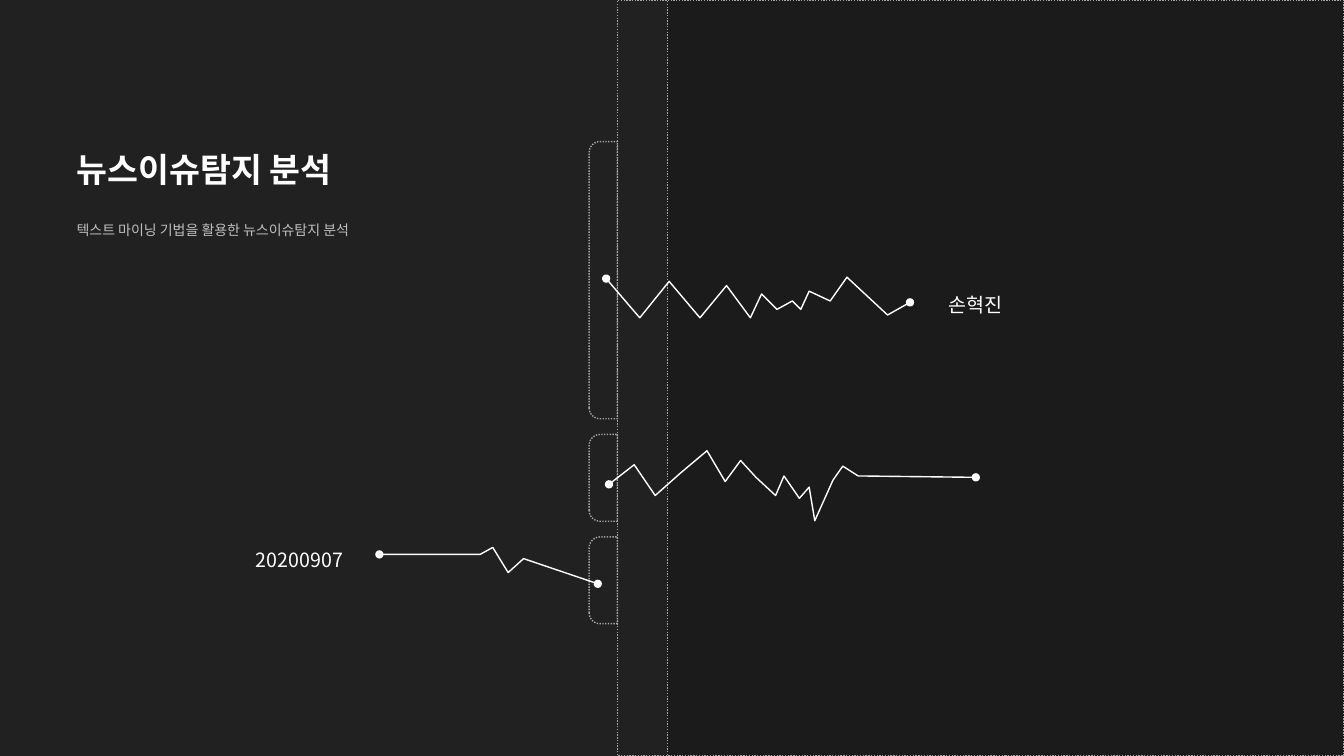
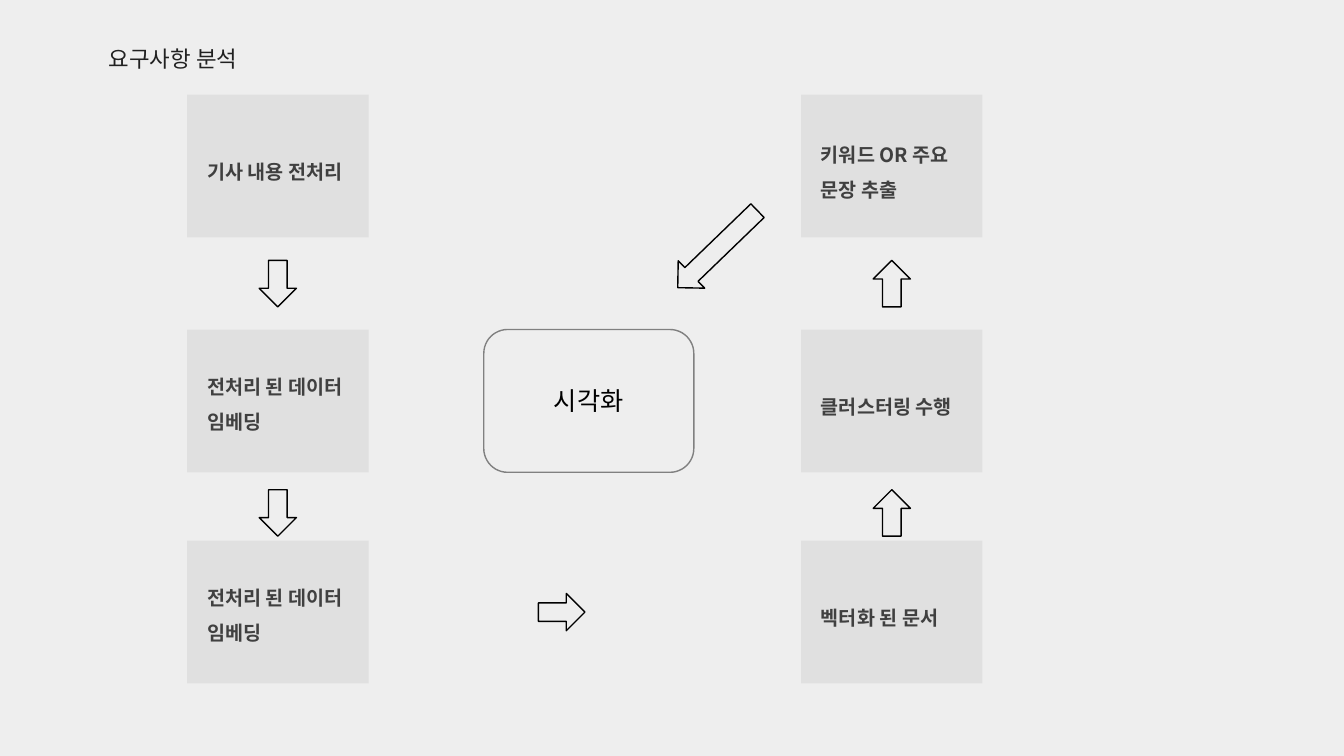
"""Build a dark cover slide and a light process slide for a news issue analysis."""
from lxml import etree
from pptx import Presentation
from pptx.dml.color import RGBColor
from pptx.enum.dml import MSO_LINE
from pptx.enum.shapes import MSO_SHAPE
from pptx.enum.text import MSO_ANCHOR, MSO_AUTO_SIZE, PP_ALIGN
from pptx.oxml.ns import qn
from pptx.util import Pt

RECTANGLE = MSO_SHAPE.RECTANGLE
ROUNDED = MSO_SHAPE.ROUNDED_RECTANGLE
TAB = MSO_SHAPE.ROUND_2_SAME_RECTANGLE
ARROW = MSO_SHAPE.DOWN_ARROW
DOTTED = MSO_LINE.ROUND_DOT
TOP, MIDDLE = MSO_ANCHOR.TOP, MSO_ANCHOR.MIDDLE
LEFT, CENTER = PP_ALIGN.LEFT, PP_ALIGN.CENTER
NO_AUTOFIT = MSO_AUTO_SIZE.NONE

FONT = "Noto Sans CJK KR"
DARK, PANEL, LIGHT, BOX = "212121", "1B1B1B", "EEEEEE", "E0E0E0"
WHITE, BLACK, DOTS, SILVER = "FFFFFF", "000000", "A6A6A6", "BFBFBF"
GRAY, TEXT_GRAY = "808080", "404040"
SLIDE_WIDTH, SLIDE_HEIGHT = 960, 540

COVER_TITLE = "뉴스이슈탐지 분석"
COVER_SUBTITLE = "텍스트 마이닝 기법을 활용한 뉴스이슈탐지 분석"
COVER_LABELS = [
    ("손혁진", (670.3, 197.3, 56.9, 29.5)),
    ("20200907", (175.7, 379.4, 77, 29.5)),
]
PANEL_LEFTS = (441.2, 476.8)
TAB_LEFT, TAB_TOP, TAB_WIDTH, TAB_GAP = 420.8, 101.1, 20.2, 11.2
TAB_HEIGHTS = (198, 62, 62)
ZIGZAGS = [
    [(432.7, 198.7), (457.2, 226.8), (478.1, 200.9), (499.7, 226.8),
     (519.1, 203.8), (535.7, 226.8), (544.3, 210.2), (555.1, 221),
     (565.9, 215.3), (571.7, 221), (578.2, 208.1), (593.3, 215.3),
     (604.8, 198), (634.3, 225), (650.2, 216)],
    [(434.9, 346.3), (452.9, 331.9), (468, 354.2), (486, 337.7),
     (504.7, 321.8), (517.7, 344.2), (529.2, 329), (540, 340.6),
     (553.7, 354.2), (560.2, 339.8), (571, 355.7), (578.2, 348.5),
     (582.5, 372.2), (594.7, 343.4), (601.9, 332.6), (612.7, 339.8),
     (697, 340.6)],
    [(271.4, 396), (343.4, 396), (352.1, 391), (362.9, 409),
     (373.7, 398.9), (427, 416.9)],
]

PROCESS_TITLE = "요구사항 분석"
RESULT = "시각화"
STEP_COLUMNS = [
    (133.7, 0, ["기사 내용 전처리", "전처리 된 데이터\n임베딩", "전처리 된 데이터\n임베딩"]),
    (572.2, 180, ["키워드 OR 주요 문장 추출", "클러스터링 수행", "벡터화 된 문서"]),
]
STEP_TOPS = (67.7, 235.4, 386.2)
STEP_WIDTH, STEP_HEIGHT = 129.6, 102
ARROW_TOPS = (186, 349.8)
ARROW_WIDTH, ARROW_HEIGHT = 26.6, 33.2
ACROSS_CENTER = 401.2
RESULT_LEFT, RESULT_WIDTH = 345.6, 150
DIAGONAL = (499, 138.4, 27.2, 79.2)


def color(value):
    return RGBColor.from_string(value)


def place(shape, frame):
    shape.left, shape.top, shape.width, shape.height = map(Pt, frame)


def write(shape, text, size, text_color, bold=False, align=LEFT, anchor=TOP,
          spacing=1.5, wrap=True):
    text_frame = shape.text_frame
    text_frame.text = text
    text_frame.word_wrap = wrap
    text_frame.auto_size = NO_AUTOFIT
    text_frame.vertical_anchor = anchor
    for paragraph in text_frame.paragraphs:
        paragraph.alignment = align
        paragraph.line_spacing = spacing
        paragraph.space_before = Pt(0)
        for run in paragraph.runs:
            run.font.name = FONT
            run.font.size = Pt(size)
            run.font.bold = bold
            run.font.color.rgb = color(text_color)
            properties = run._r.get_or_add_rPr()
            etree.SubElement(properties, qn("a:ea")).set("typeface", FONT)


def style(shape, fill=None, line=None, dash=None):
    shape.shadow.inherit = False
    if fill:
        shape.fill.solid()
        shape.fill.fore_color.rgb = color(fill)
    else:
        shape.fill.background()
    if line:
        shape.line.color.rgb = color(line)
        shape.line.width = Pt(1)
        if dash:
            shape.line.dash_style = dash
    else:
        shape.line.fill.background()


def add_shape(slide, kind, frame, fill=None, line=None, dash=None, rotation=0):
    shape = slide.shapes.add_shape(kind, *map(Pt, frame))
    style(shape, fill, line, dash)
    shape.rotation = rotation
    return shape


def add_arrow(slide, center, top, rotation):
    frame = (center - ARROW_WIDTH / 2, top, ARROW_WIDTH, ARROW_HEIGHT)
    add_shape(slide, ARROW, frame, LIGHT, BLACK, rotation=rotation)


def add_panel(slide, left, fill):
    frame = (left, 0, SLIDE_WIDTH - left, SLIDE_HEIGHT)
    add_shape(slide, RECTANGLE, frame, fill, DOTS, DOTTED)


def add_tab(slide, top, height):
    frame = (TAB_LEFT + (TAB_WIDTH - height) / 2,
             top + (height - TAB_WIDTH) / 2, height, TAB_WIDTH)
    tab = add_shape(slide, TAB, frame, line=DOTS, dash=DOTTED, rotation=270)
    tab.adjustments[0] = 0.385
    tab.adjustments[1] = 0


def add_zigzag(slide, points):
    builder = slide.shapes.build_freeform(*points[0], scale=Pt(1))
    builder.add_line_segments(points[1:], close=False)
    zigzag = builder.convert_to_shape()
    style(zigzag, line=WHITE)
    line = zigzag.line._get_or_add_ln()
    for end in ("a:headEnd", "a:tailEnd"):
        etree.SubElement(line, qn(end)).set("type", "oval")


def add_slide(presentation, layout, background, title, frame, size,
              title_color, bold=False):
    slide = presentation.slides.add_slide(presentation.slide_layouts[layout])
    slide.background.fill.solid()
    slide.background.fill.fore_color.rgb = color(background)
    place(slide.shapes.title, frame)
    write(slide.shapes.title, title, size, title_color, bold)
    return slide


def build_cover(presentation):
    slide = add_slide(presentation, 0, DARK, COVER_TITLE,
                      (47.5, 88.6, 309.6, 52), 24, WHITE, True)
    subtitle = slide.placeholders[1]
    place(subtitle, (47.5, 148.8, 309.6, 25))
    write(subtitle, COVER_SUBTITLE, 10, SILVER)
    add_panel(slide, PANEL_LEFTS[0], DARK)
    top = TAB_TOP
    for height in TAB_HEIGHTS:
        add_tab(slide, top, height)
        top += height + TAB_GAP
    add_panel(slide, PANEL_LEFTS[1], PANEL)
    for points in ZIGZAGS:
        add_zigzag(slide, points)
    for text, frame in COVER_LABELS:
        label = slide.shapes.add_textbox(*map(Pt, frame))
        write(label, text, 14, WHITE, wrap=False)


def build_process(presentation):
    slide = add_slide(presentation, 5, LIGHT, PROCESS_TITLE,
                      (70.6, 18.7, 380, 32.4), 16, DARK)
    for left, rotation, steps in STEP_COLUMNS:
        for top, text in zip(STEP_TOPS, steps):
            box = add_shape(slide, RECTANGLE,
                            (left, top, STEP_WIDTH, STEP_HEIGHT), BOX)
            box.text_frame.margin_left = Pt(14.2)
            box.text_frame.margin_bottom = Pt(7.2 if "\n" in text else 3.6)
            write(box, text, 14, TEXT_GRAY, True, anchor=MIDDLE)
        for top in ARROW_TOPS:
            add_arrow(slide, left + STEP_WIDTH / 2, top, rotation)
    across_top = STEP_TOPS[-1] + (STEP_HEIGHT - ARROW_HEIGHT) / 2
    add_arrow(slide, ACROSS_CENTER, across_top, 270)
    result = add_shape(slide, ROUNDED, (RESULT_LEFT, STEP_TOPS[1],
                       RESULT_WIDTH, STEP_HEIGHT), line=GRAY)
    write(result, RESULT, 18, BLACK, align=CENTER, anchor=MIDDLE, spacing=1)
    add_shape(slide, ARROW, DIAGONAL, LIGHT, BLACK, rotation=46)


def main():
    presentation = Presentation()
    presentation.slide_width = Pt(SLIDE_WIDTH)
    presentation.slide_height = Pt(SLIDE_HEIGHT)
    build_cover(presentation)
    build_process(presentation)
    presentation.save("out.pptx")


if __name__ == "__main__":
    main()
